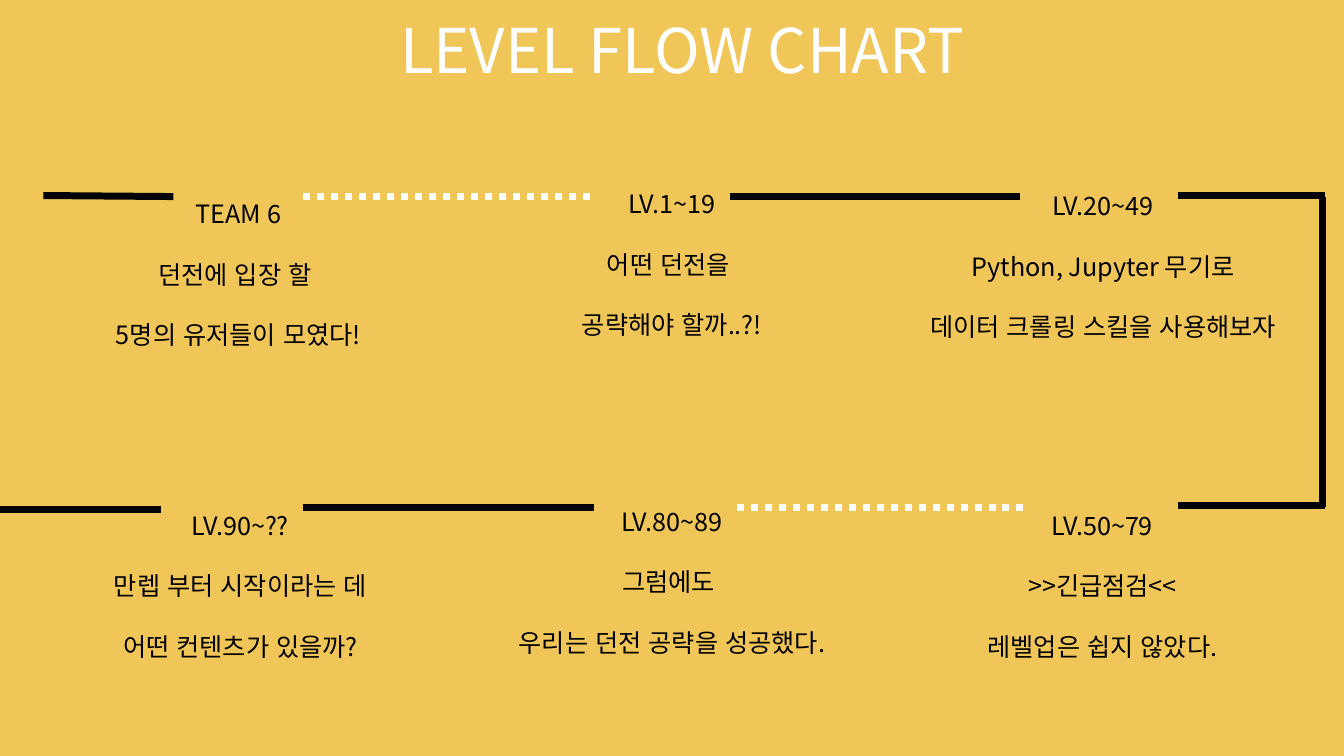
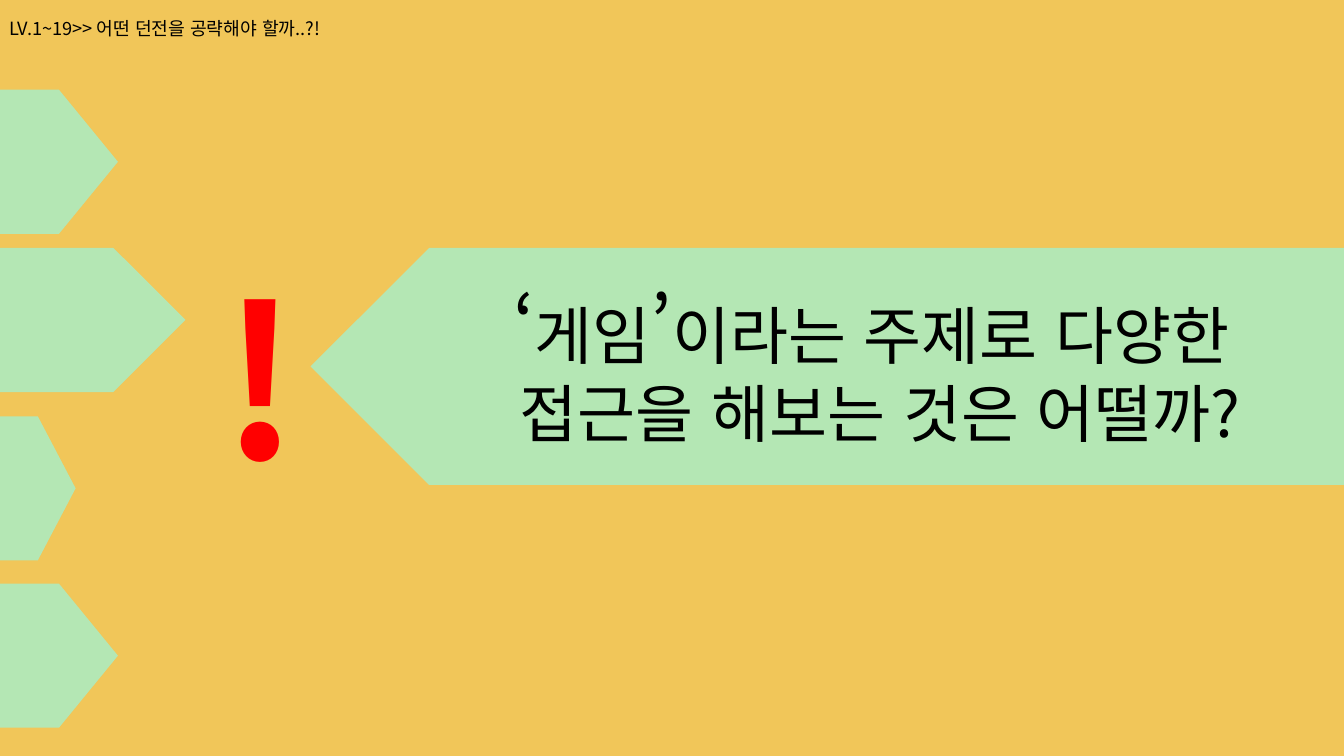
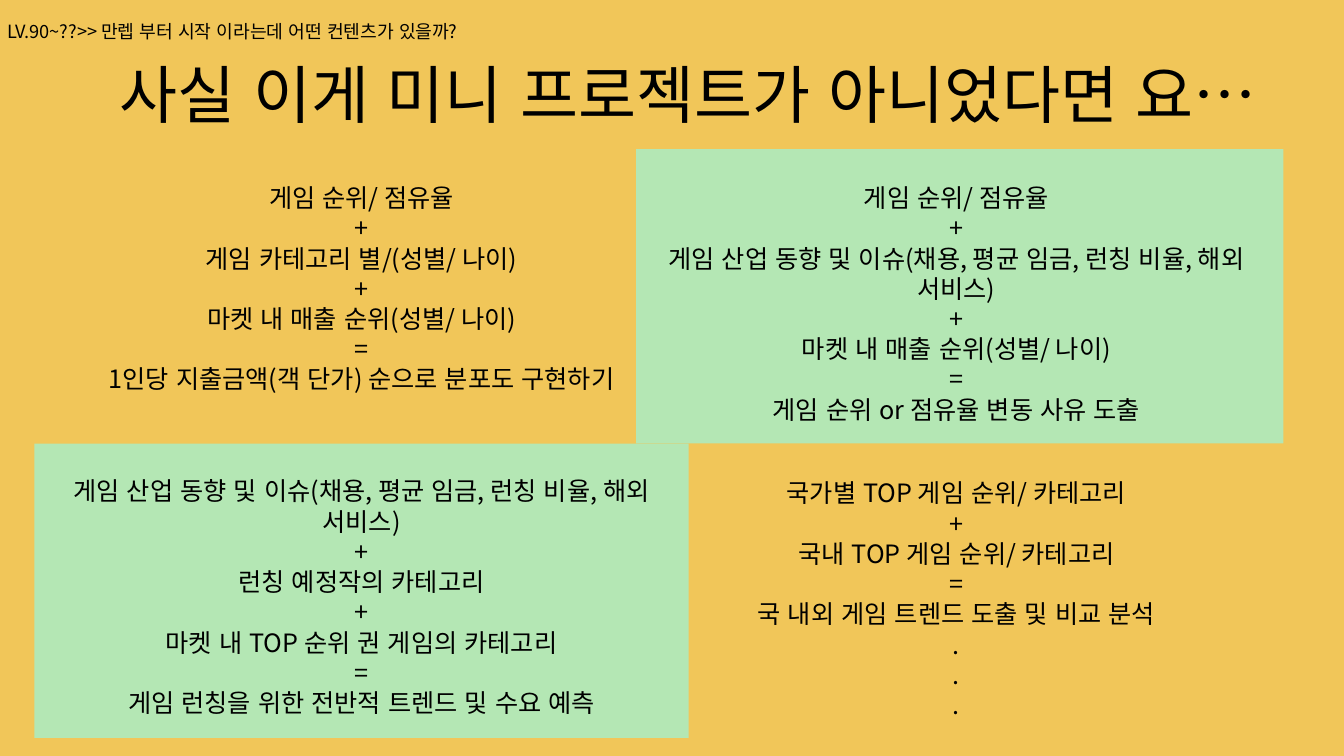
from lxml import etree
from pptx import Presentation
from pptx.dml.color import RGBColor
from pptx.enum.dml import MSO_LINE
from pptx.enum.lang import MSO_LANGUAGE_ID
from pptx.enum.shapes import MSO_CONNECTOR, MSO_SHAPE
from pptx.enum.text import MSO_ANCHOR, MSO_AUTO_SIZE, PP_ALIGN
from pptx.oxml.ns import qn
from pptx.util import Emu, Pt

PX = 9144  # 100 px to the inch
FONT = "Noto Sans CJK KR"
GOLD, MINT, BLACK, WHITE, RED = "F1C659", "8EFCEF", "000000", "FFFFFF", "FF0000"
STRAIGHT, DOTS = MSO_CONNECTOR.STRAIGHT, MSO_LINE.ROUND_DOT
PLATE, RECT = MSO_SHAPE.PENTAGON, MSO_SHAPE.RECTANGLE
TOP, MIDDLE = MSO_ANCHOR.TOP, MSO_ANCHOR.MIDDLE
GROW, FIXED = MSO_AUTO_SIZE.SHAPE_TO_FIT_TEXT, MSO_AUTO_SIZE.NONE
CENTER = PP_ALIGN.CENTER
KOREAN = MSO_LANGUAGE_ID.KOREAN

# Slide 1: boxes are left, top, width, height
FLOW = ("LEVEL FLOW CHART", (301, -40, 752, 177))
STEP_H = 237
STEPS = [
    (28, 147, 417, ["TEAM 6", "던전에 입장 할 ", "5명의 유저들이 모였다!"]),
    (458, 137, 417, ["LV.1~19", "어떤 던전을 ", "공략해야 할까..?!"]),
    (799, 139, 590, ["LV.20~49", "Python, Jupyter 무기로", "데이터 크롤링 스킬을 사용해보자"]),
    (885, 456, 417, ["LV.50~79", ">>긴급점검<<", "레벨업은 쉽지 않았다."]),
    (458, 452, 417, ["LV.80~89", "그럼에도 ", "우리는 던전 공략을 성공했다."]),
    (30, 456, 417, ["LV.90~??", "만렙 부터 시작이라는 데", "어떤 컨텐츠가 있을까?"]),
]
SOLID = [
    (43, 194, 172, 195), (724, 195, 1012, 195), (1168, 194, 1314, 194),
    (1312, 195, 1312, 503), (1168, 502, 1314, 502),
    (301, 503, 589, 503), (-127, 505, 160, 505),
]
DOTTED = [(301, 195, 589, 195), (731, 503, 1019, 503)]

# Slide 2
START = ("LV.1~19>> 어떤 던전을 공략해야 할까..?!", (-170, -20, 667, 57))
TABS = [(89, 117), (246, 184), (413, 75), (579, 117)]  # top, width
TAB_H = 143
BANNER = (308, 246, 1026, 235)
IDEA = ([[("‘", 55), ("게임", 45), ("’", 55), ("이라는 주제로 다양한 ", 45)],
         "접근을 해보는 것은 어떨까?"], (462, 275, 822, 178))
MARK = ("!", (50, 276, 417, 193))

# Slide 3
FINAL = ("LV.90~??>> 만렙 부터 시작 이라는데 어떤 컨텐츠가 있을까?", (-46, -17, 553, 268))
WISH = ("사실 이게 미니 프로젝트가 아니었다면 요…", (16, 50, 1333, 86))
PANELS = [(631, 148, 642, 292), (34, 440, 649, 292)]
PLAN_W = 649
PLANS = [
    (34, 176, 222, ["게임 순위/ 점유율", "+", "게임 카테고리 별/(성별/ 나이)", "+",
                    "마켓 내 매출 순위(성별/ 나이)", "=",
                    "1인당 지출금액(객 단가) 순으로 분포도 구현하기"]),
    (624, 176, 222, ["게임 순위/ 점유율", "+",
                     "게임 산업 동향 및 이슈(채용, 평균 임금, 런칭 비율, 해외 서비스)", "+",
                     "마켓 내 매출 순위(성별/ 나이)", "=", "게임 순위 or 점유율 변동 사유 도출"]),
    (34, 467, 222, ["게임 산업 동향 및 이슈(채용, 평균 임금, 런칭 비율, 해외 서비스)", "+",
                    "런칭 예정작의 카테고리", "+", "마켓 내 TOP 순위 권 게임의 카테고리", "=",
                    "게임 런칭을 위한 전반적 트렌드 및 수요 예측"]),
    (624, 469, 283, ["국가별 TOP 게임 순위/ 카테고리", "+", "국내 TOP 게임 순위/ 카테고리", "=",
                     "국 내외 게임 트렌드 도출 및 비교 분석", ".", ".", "."]),
]


def emu(*nums):
    return [Emu(n * PX) for n in nums]


def rgb(code):
    return RGBColor.from_string(code)


def style(item, **form):
    for name, value in form.items():
        setattr(item, name, value)


def write(shape, lines, size, color=BLACK, bold=False, gaps=(), anchor=TOP, fit=GROW):
    """Fill a shape with centred lines; a line is a string or (text, size) runs."""
    frame = shape.text_frame
    style(frame, word_wrap=True, auto_size=fit, vertical_anchor=anchor)
    for i, line in enumerate(lines):
        para = frame.add_paragraph() if i else frame.paragraphs[0]
        para.alignment = CENTER
        if gaps:
            para.line_spacing = gaps[i]
        for text, pts in [(line, size)] if isinstance(line, str) else line:
            run = para.add_run()
            run.text = text
            style(run.font, name=FONT, size=Pt(pts), bold=bold, language_id=KOREAN)
            run.font.color.rgb = rgb(color)
            east = etree.SubElement(run.font._element, qn("a:ea"))
            east.set("typeface", FONT)


def box(slide, lines, area, size, **form):
    write(slide.shapes.add_textbox(*emu(*area)), lines, size, **form)


def title(slide, lines, area, size, **form):
    head = slide.shapes.title
    style(head, **dict(zip(("left", "top", "width", "height"), emu(*area))))
    write(head, lines, size, **form)
    slide.shapes._spTree.append(head._element)  # bring to the front


def label(slide, text, area):
    box(slide, [text], area, 13, gaps=[2.5])


def mint(slide, kind, area, turn=0):
    shape = slide.shapes.add_shape(kind, *emu(*area))
    shape.rotation = turn
    shape.shadow.inherit = False
    shape.line.fill.background()
    shape.fill.solid()
    shape.fill.fore_color.rgb = rgb(MINT)
    tint = shape._element.spPr.find(".//" + qn("a:srgbClr"))
    etree.SubElement(tint, qn("a:alpha")).set("val", "61000")


def path_line(slide, ends, color, dash=None):
    link = slide.shapes.add_connector(STRAIGHT, *emu(*ends))
    style(link.line, width=Pt(5), dash_style=dash)
    link.line.color.rgb = rgb(color)
    etree.SubElement(link._element.spPr, qn("a:effectLst"))


def flow_slide(slide):
    text, area = FLOW
    title(slide, [text], area, 44, color=WHITE, anchor=MIDDLE, fit=FIXED)
    for left, top, width, lines in STEPS:
        box(slide, lines, (left, top, width, STEP_H), 18, gaps=(2.5, 2, 2))
    for ends in SOLID:
        path_line(slide, ends, BLACK)
    for ends in DOTTED:
        path_line(slide, ends, WHITE, DOTS)


def idea_slide(slide):
    label(slide, *START)
    for top, width in TABS:
        mint(slide, PLATE, (0, top, width, TAB_H))
    mint(slide, PLATE, BANNER, 180)
    title(slide, *IDEA, 45)
    text, area = MARK
    box(slide, [text], area, 150, color=RED, bold=True, anchor=MIDDLE, fit=FIXED)


def plan_slide(slide):
    for area in PANELS:
        mint(slide, RECT, area)
    label(slide, *FINAL)
    text, area = WISH
    title(slide, [text], area, 45)
    for left, top, height, lines in PLANS:
        box(slide, lines, (left, top, PLAN_W, height), 18)


def main():
    deck = Presentation()
    deck.slide_width, deck.slide_height = emu(1333, 750)
    back = deck.slide_master.background.fill
    back.solid()
    back.fore_color.rgb = rgb(GOLD)
    for build in (flow_slide, idea_slide, plan_slide):
        build(deck.slides.add_slide(deck.slide_layouts[5]))
    deck.save("out.pptx")


if __name__ == "__main__":
    main()
